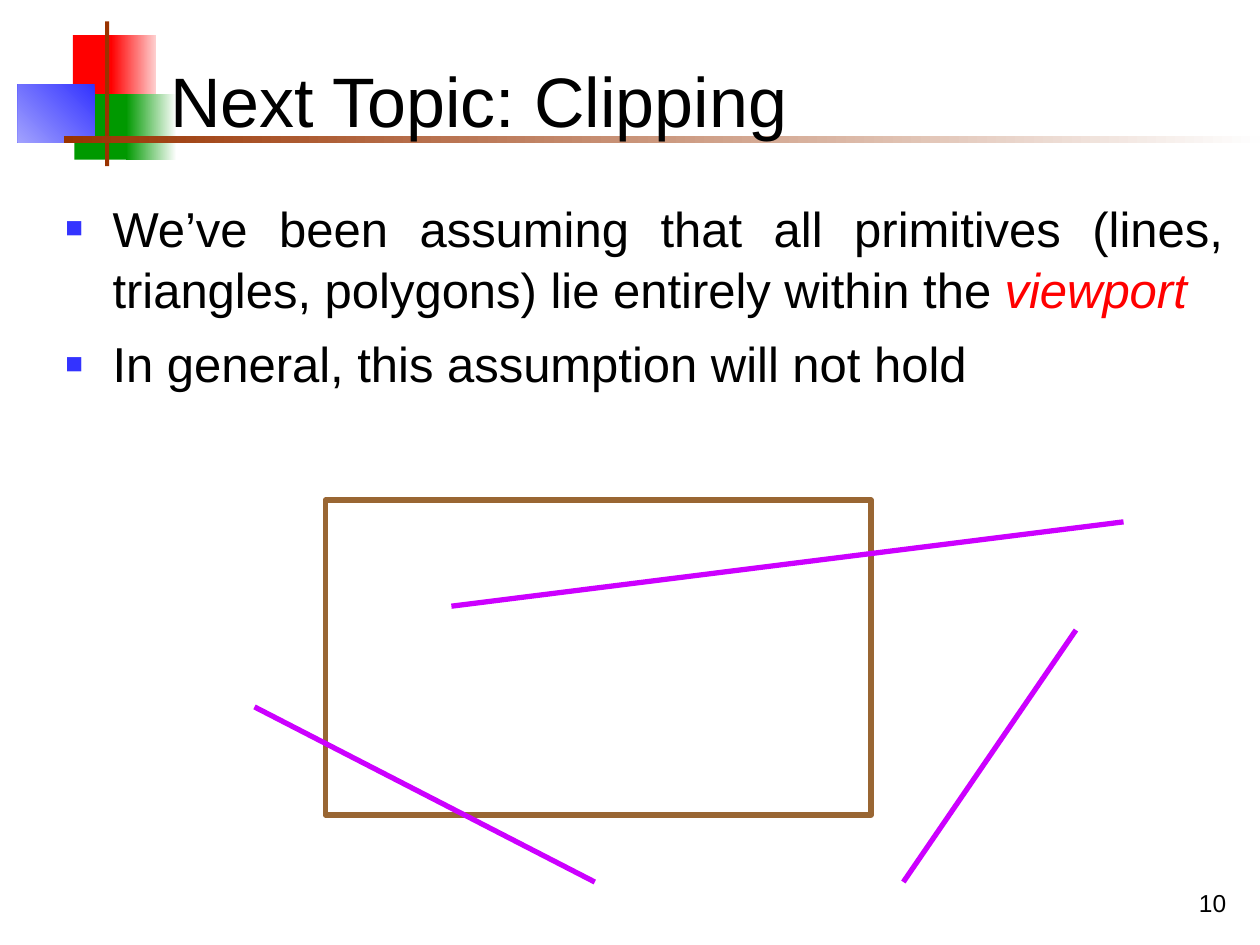
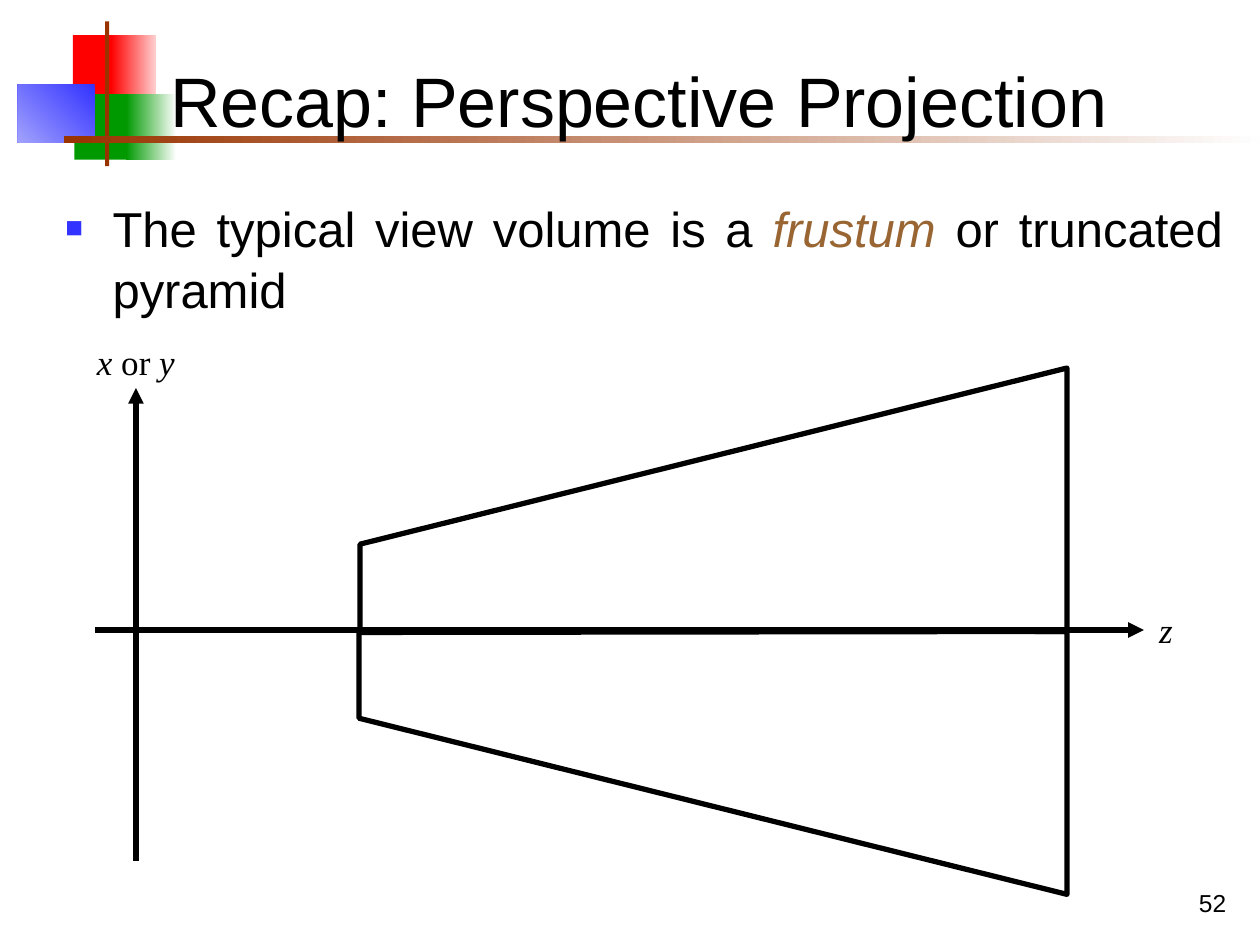
from lxml import etree
from pptx import Presentation
from pptx import util as u
from pptx.dml.color import RGBColor
from pptx.enum import shapes, text
from pptx.oxml.ns import qn

BLACK, RED, GREEN, BLUE = "000000", "FF0000", "009900", "3333FF"
RUST, BROWN, VIOLET = "993300", "996633", "CC00FF"
RECT = shapes.MSO_SHAPE.RECTANGLE
ALIGN, ANCHOR = text.PP_ALIGN, text.MSO_ANCHOR
FIT = text.MSO_AUTO_SIZE


def ink(fill, *colors, angle=0):
    """Fill with one hex colour, or with a gradient between two."""
    if len(colors) == 1:
        fill.solid()
        fill.fore_color.rgb = RGBColor.from_string(colors[0])
        return
    fill.gradient()
    fill.gradient_angle = angle
    for stop, color in zip(fill.gradient_stops, colors):
        stop.color.rgb = RGBColor.from_string(color)


def write(sp, box, paragraphs, font, frame, para):
    """Place a text shape; each paragraph is a list of (text, colour, italic)."""
    sp.left, sp.top, sp.width, sp.height = [u.Cm(v) for v in box]
    tf = sp.text_frame
    for name, value in frame.items():
        setattr(tf, name, value)
    for i, runs in enumerate(paragraphs):
        p = tf.add_paragraph() if i else tf.paragraphs[0]
        for name, value in para.items():
            setattr(p, name, value)
        for words, color, italic in runs:
            r = p.add_run()
            r.text = words
            for name, value in {**font, "italic": italic}.items():
                setattr(r.font, name, value)
            ink(r.font.fill, color)


prs = Presentation()
prs.slide_width, prs.slide_height = u.Cm(25.4), u.Cm(19.05)
layout = prs.slide_layouts.get_by_name("Title Only")

TITLE = dict(
    box=(3.18, 0.64, 21.64, 2.34),
    font={"name": "Arial", "size": u.Pt(40)},
    frame={"word_wrap": True, "auto_size": FIT.NONE, "vertical_anchor": ANCHOR.BOTTOM},
    para={"alignment": ALIGN.LEFT},
)
BODY = dict(
    box=(1.07, 3.81, 23.83, 14.61),
    font={"name": "Arial", "size": u.Pt(28)},
    frame={"word_wrap": True, "auto_size": FIT.NONE, "vertical_anchor": ANCHOR.TOP},
    para={"alignment": ALIGN.JUSTIFY, "space_before": u.Pt(7), "line_spacing": 1.05},
)
NUMBER = dict(
    box=(19.69, 17.35, 5.28, 1.27),
    font={"name": "Arial", "size": u.Pt(14)},
    frame={"word_wrap": True, "vertical_anchor": ANCHOR.BOTTOM},
    para={"alignment": ALIGN.RIGHT},
)
AXIS_LABEL = dict(
    font={"name": "Times New Roman", "size": u.Pt(20)},
    frame={"word_wrap": False, "auto_size": FIT.SHAPE_TO_FIT_TEXT,
           "vertical_anchor": ANCHOR.MIDDLE},
    para={"alignment": ALIGN.CENTER},
)

# Titles, bulleted text and page numbers
contents = [
    ("Next Topic: Clipping", "10", [
        [("We’ve been assuming that all primitives (lines, triangles, polygons) "
          "lie entirely within the ", BLACK, False), ("viewport", RED, True)],
        [("In general, this assumption will not hold", BLACK, False)],
    ]),
    ("Recap: Perspective Projection", "52", [
        [("The typical view volume is a ", BLACK, False), ("frustum ", BROWN, True),
         ("or truncated pyramid", BLACK, False)],
    ]),
]
for title, number, bullets in contents:
    s = prs.slides.add_slide(layout)
    write(s.shapes.title, paragraphs=[[(title, BLACK, False)]], **TITLE)
    sp = s.shapes.add_textbox(0, 0, 0, 0)
    write(sp, paragraphs=bullets, **BODY)
    for p in sp.text_frame.paragraphs:
        pPr = p._p.get_or_add_pPr()
        pPr.set("marL", str(u.Cm(0.95)))
        pPr.set("indent", str(u.Cm(-0.95)))
        color = etree.SubElement(pPr, qn("a:buClr"))
        etree.SubElement(color, qn("a:srgbClr"), val=BLUE)
        etree.SubElement(pPr, qn("a:buSzPct"), val="60000")
        etree.SubElement(pPr, qn("a:buFont"), typeface="Arial")
        etree.SubElement(pPr, qn("a:buChar"), char="■")
    sp = s.shapes.add_textbox(0, 0, 0, 0)
    write(sp, paragraphs=[[(number, BLACK, False)]], **NUMBER)
clipping, frustum = prs.slides

# Shared squares and bars, moved behind everything on the layout
ornaments = [
    ((1.47, 0.71, 0.89, 1.32), [RED], 0),
    ((2.24, 0.71, 0.91, 1.32), ["FED0D0", RED], 180),
    ((1.5, 1.9, 1.17, 1.32), [GREEN], 0),
    ((2.54, 1.9, 1.02, 1.32), ["FFFFFF", GREEN], 180),
    ((0.36, 1.7, 1.55, 1.17), [BLUE, "A1A1FE"], 225),
    ((2.12, 0.43, 0.08, 2.92), [RUST], 0),
    ((1.29, 2.74, 24.11, 0.14), ["FEFEFE", RUST], 180),
]
for i, (box, colors, angle) in enumerate(ornaments):
    sp = clipping.shapes.add_shape(RECT, *[u.Cm(v) for v in box])
    sp.shadow.inherit = False
    sp.line.fill.background()
    ink(sp.fill, *colors, angle=angle)
    layout.shapes.element.insert(2 + i, sp.element)

# Viewport and the two halves of the view volume
viewport = clipping.shapes.add_shape(
    RECT, *[u.Cm(v) for v in (6.56, 10.08, 11, 6.35)])
outlines = [(viewport, BROWN)]
halves = [
    [(7.26, 12.75), (7.26, 10.97), (21.51, 7.42), (21.51, 12.73)],
    [(7.24, 12.7), (7.24, 14.48), (21.51, 18.03), (21.51, 12.73)],
]
for half in halves:
    start, *rest = [(u.Cm(x), u.Cm(y)) for x, y in half]
    builder = frustum.shapes.build_freeform(*start)
    builder.add_line_segments(rest, close=True)
    outlines.append((builder.convert_to_shape(), BLACK))
for sp, color in outlines:
    sp.shadow.inherit = False
    sp.fill.background()
    sp.line.width = u.Pt(3)
    ink(sp.line.fill, color)

# Primitives to clip, then the axes
segments = [
    (clipping, (9.1, 12.22, 22.65, 10.52), VIOLET, False),
    (clipping, (5.13, 14.25, 11.99, 17.78), VIOLET, False),
    (clipping, (18.21, 17.78, 21.69, 12.7), VIOLET, False),
    (frustum, (1.91, 12.7, 23.06, 12.7), BLACK, True),
    (frustum, (2.74, 17.35, 2.74, 7.82), BLACK, True),
]
for s, ends, color, arrow in segments:
    line = s.shapes.add_connector(
        shapes.MSO_CONNECTOR.STRAIGHT, *[u.Cm(v) for v in ends])
    line.line.width = u.Pt(3)
    ink(line.line.fill, color)
    spPr = line.element.spPr
    etree.SubElement(spPr, qn("a:effectLst"))
    if arrow:
        etree.SubElement(spPr.find(qn("a:ln")), qn("a:tailEnd"), type="triangle")

labels = [
    ((1.7, 6.73, 2.08, 1.12),
     [("x", BLACK, True), (" or ", BLACK, False), ("y", BLACK, True)]),
    ((23.11, 12.14, 0.79, 1.12), [("z", BLACK, True)]),
]
for box, runs in labels:
    sp = frustum.shapes.add_textbox(0, 0, 0, 0)
    write(sp, box, [runs], **AXIS_LABEL)

prs.save("out.pptx")
